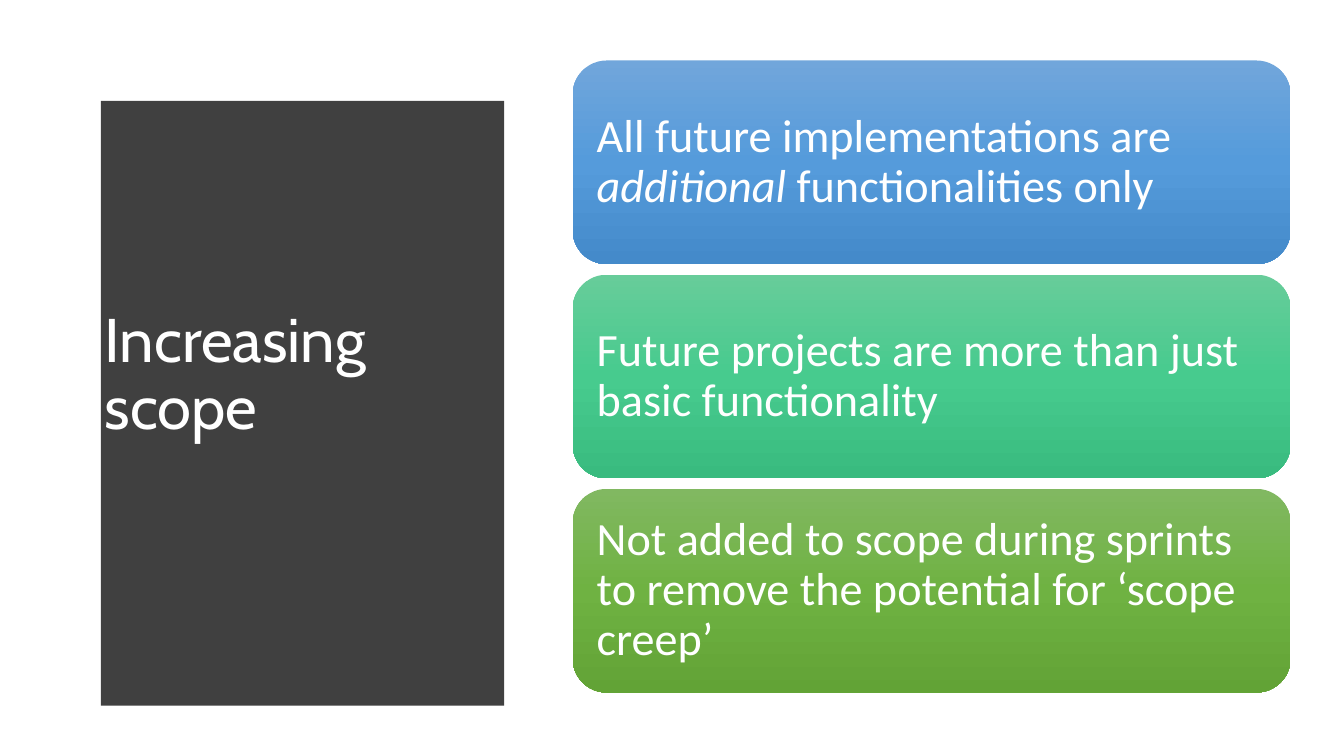
from copy import deepcopy
from pptx import Presentation
from pptx.dml.color import RGBColor as RGB
from pptx.enum.shapes import MSO_SHAPE as SHAPE
from pptx.enum.text import MSO_ANCHOR as ANCHOR, PP_ALIGN as ALIGN
from pptx.util import Inches, Pt

TITLE = "Increasing scope"
CARDS = [
    (["All future implementations are ", "additional", " functionalities only"], "blue"),
    (["Future projects are more than just basic functionality"], "teal"),
    (["Not added to scope during sprints to remove the potential for ‘scope creep’"], "green"),
]
COLORS = {
    "panel": "404040",
    "text": "FFFFFF",
    "blue": ["71A6DB", "559BDB", "448ACA"],
    "teal": ["67CC9A", "47CB8E", "39BB7F"],
    "green": ["81B861", "6FB242", "62A336"],
}
W, H = 13.33, 7.5
PANEL_LEFT, PANEL_TOP, PANEL_EDGE, PANEL_BOTTOM = 0.53, 0.52, 5.08, 6.96
BULGE, STEPS = 0.24, 40
CARD_LEFT, CARD_TOP, CARD_W, CARD_H, CARD_STEP = 5.68, 0.6, 7.12, 2.02, 2.125
INSET = 0.14


def add_panel(s):
    height = PANEL_BOTTOM - PANEL_TOP
    curve = []
    for i in range(STEPS + 1):
        t = i / STEPS
        curve.append((PANEL_EDGE + BULGE * 4 * t * (1 - t), PANEL_TOP + height * t))
    fb = s.shapes.build_freeform(PANEL_LEFT, PANEL_TOP, scale=Inches(1))
    fb.add_line_segments(curve + [(PANEL_LEFT, PANEL_BOTTOM)], close=True)
    sp = fb.convert_to_shape()
    sp.shadow.inherit = False
    sp.fill.solid()
    sp.fill.fore_color.rgb = RGB.from_string(COLORS["panel"])
    sp.line.fill.background()


def write(tf, parts, font, size):
    tf.word_wrap = True
    tf.vertical_anchor = ANCHOR.MIDDLE
    p = tf.paragraphs[0]
    p.alignment = ALIGN.LEFT
    p.line_spacing = 0.9
    for i, part in enumerate(parts):
        r = p.add_run()
        r.text = part
        r.font.name = font
        r.font.size = Pt(size)
        r.font.italic = i % 2 == 1
        r.font.color.rgb = RGB.from_string(COLORS["text"])


def fill_gradient(sp, colors):
    sp.fill.gradient()
    sp.fill.gradient_angle = 270
    first = sp._element.spPr.find(".//{*}gs")
    first.addnext(deepcopy(first))
    for i, (stop, color) in enumerate(zip(sp.fill.gradient_stops, colors)):
        stop.position = i / (len(colors) - 1)
        stop.color.rgb = RGB.from_string(color)


def add_card(s, row, parts, color):
    sp = s.shapes.add_shape(SHAPE.ROUNDED_RECTANGLE, Inches(CARD_LEFT),
                            Inches(CARD_TOP + row * CARD_STEP), Inches(CARD_W), Inches(CARD_H))
    sp.shadow.inherit = False
    sp.line.fill.background()
    fill_gradient(sp, COLORS[color])
    tf = sp.text_frame
    tf.margin_left = tf.margin_right = tf.margin_top = tf.margin_bottom = Inches(INSET)
    write(tf, parts, "Calibri", 33)


def main():
    prs = Presentation()
    prs.slide_width, prs.slide_height = Inches(W), Inches(H)
    s = prs.slides.add_slide(prs.slide_layouts[6])
    add_panel(s)
    title = s.shapes.add_textbox(Inches(0.94), Inches(1.11), Inches(3.74), Inches(5.24))
    write(title.text_frame, [TITLE], "Cabin", 44)
    for row, (parts, color) in enumerate(CARDS):
        add_card(s, row, parts, color)
    prs.save("out.pptx")


if __name__ == "__main__":
    main()
